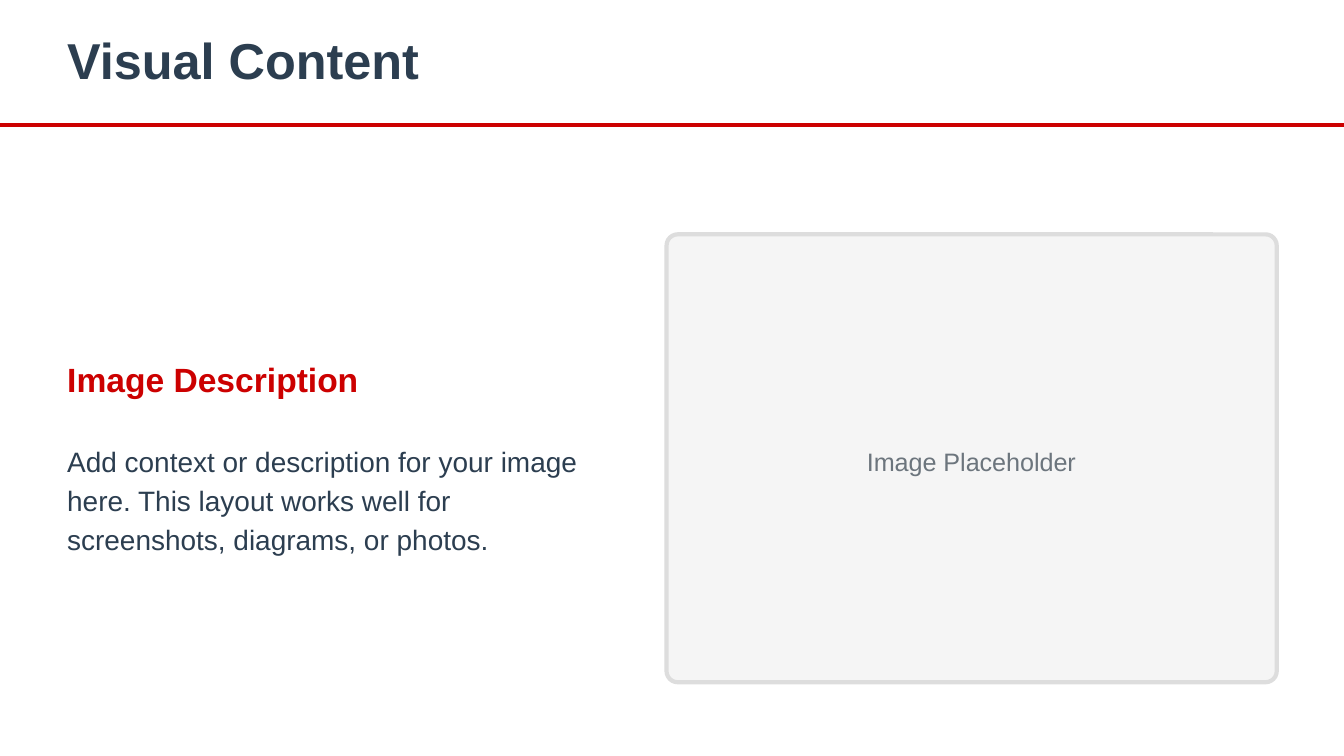
"""Build a slide with a heading, a description and a framed image area."""
from dataclasses import dataclass

from lxml.etree import SubElement
from pptx import Presentation
from pptx.dml.color import RGBColor as Rgb
from pptx.enum.shapes import MSO_CONNECTOR as Link, MSO_SHAPE as Form
from pptx.oxml.ns import qn
from pptx.util import Inches, Pt


@dataclass(frozen=True)
class Theme:
    font: str = "Arial"
    ink: str = "2C3E50"
    red: str = "CC0000"
    grey: str = "6C757D"
    pale: str = "F5F5F5"
    edge: str = "DDDDDD"
    title: float = 27
    head: float = 18
    body: float = 15
    label: float = 13.5
    rule: float = 2.25


@dataclass(frozen=True)
class Box:
    left: float
    top: float
    width: float
    height: float

    def place(self) -> tuple[int, int, int, int]:
        return across(self.left), down(self.top), across(self.width), down(self.height)


LOOK = Theme()
WIDE = Inches(10)
HIGH = WIDE * 9 // 16
MARGIN = 5
FRAME = Box(49.6, 31, 100 - MARGIN - 49.6, 59.25)


def across(share: float) -> int:
    return round(WIDE * share / 100)


def down(share: float) -> int:
    return round(HIGH * share / 100)


def stroke(line, color: str) -> None:
    line.color.rgb = Rgb.from_string(color)
    line.width = Pt(LOOK.rule)


def write(slide, text: str, box: Box, *, size: float, color: str,
          lead: float, bold: bool = False, gap: float = 0) -> None:
    frame = slide.shapes.add_textbox(*box.place()).text_frame
    frame.word_wrap = True
    frame.margin_left = frame.margin_right = frame.margin_top = frame.margin_bottom = 0
    para = frame.paragraphs[0]
    para.line_spacing = Pt(lead)
    para.space_before = para.space_after = Pt(gap)
    run = para.add_run()
    run.text = text
    font = run.font
    font.name, font.size, font.bold = LOOK.font, Pt(size), bold
    font.color.rgb = Rgb.from_string(color)


def rule(slide, top: float) -> None:
    line = slide.shapes.add_connector(Link.STRAIGHT, 0, down(top), WIDE, down(top))
    stroke(line.line, LOOK.red)
    SubElement(line._element.spPr, qn("a:effectLst"))


def panel(slide, box: Box) -> None:
    shape = slide.shapes.add_shape(Form.ROUNDED_RECTANGLE, *box.place())
    shape.adjustments[0] = 0.025
    shape.shadow.inherit = False
    shape.fill.solid()
    shape.fill.fore_color.rgb = Rgb.from_string(LOOK.pale)
    stroke(shape.line, LOOK.edge)


def main() -> None:
    deck = Presentation()
    deck.slide_width, deck.slide_height = WIDE, HIGH
    slide = deck.slides.add_slide(deck.slide_layouts[6])
    rule(slide, 16.53)
    write(slide, "Visual Content", Box(MARGIN, 4.44, 46, 7.47),
          size=LOOK.title, color=LOOK.ink, lead=30, bold=True)
    write(slide, "Image Description", Box(MARGIN, 46.93, 22.2, 5.87),
          size=LOOK.head, color=LOOK.red, lead=24, bold=True)
    write(slide, "Add context or description for your image here. "
          "This layout works well for screenshots, diagrams, or photos.",
          Box(MARGIN, 58.05, 40.4, 15.64),
          size=LOOK.body, color=LOOK.ink, lead=21, gap=3)
    panel(slide, FRAME)
    write(slide, "Image Placeholder", Box(64.5, 58.4, 15.9, 4.62),
          size=LOOK.label, color=LOOK.grey, lead=18.9, gap=3)
    deck.save("out.pptx")


if __name__ == "__main__":
    main()
